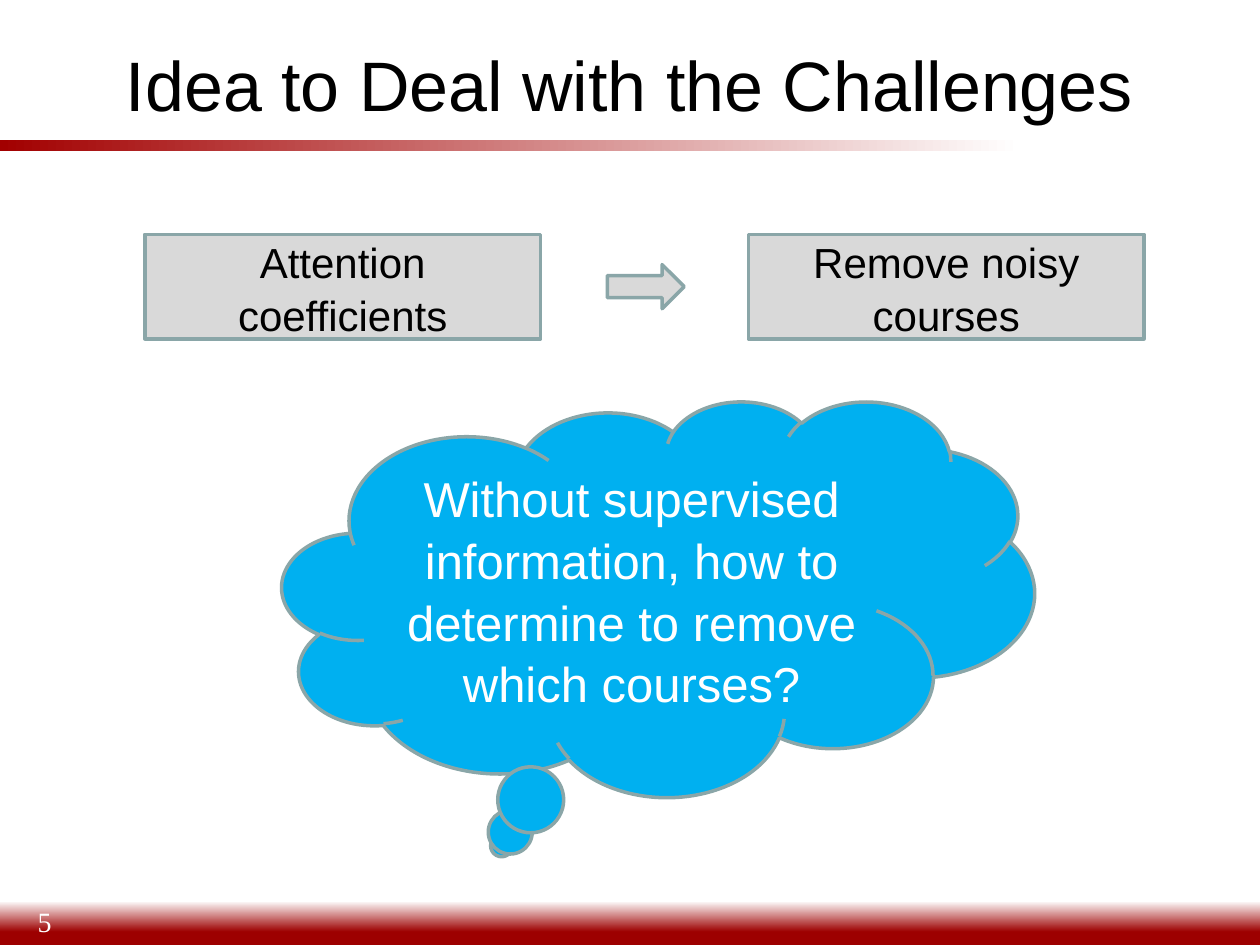
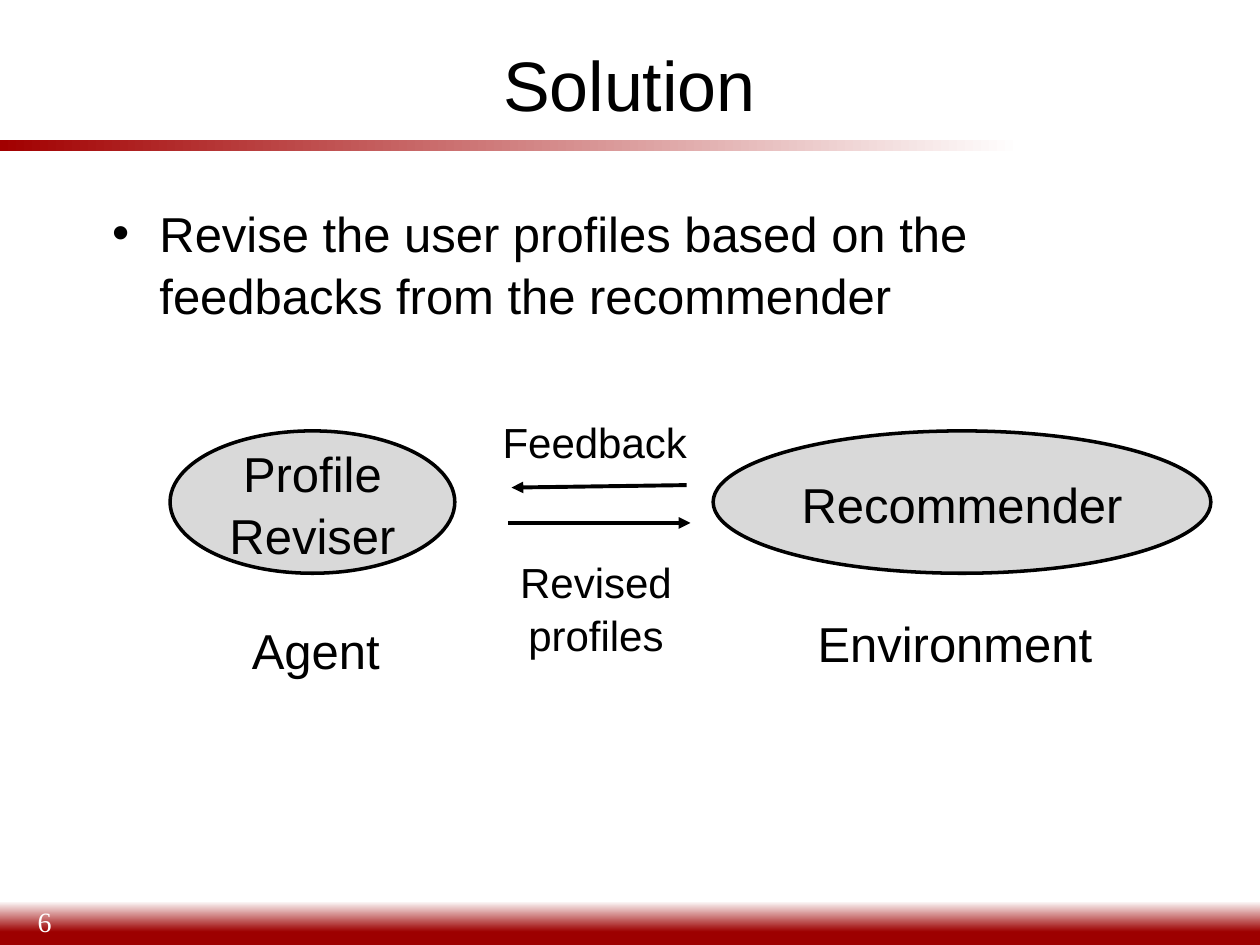
from dataclasses import dataclass

from lxml import etree
from pptx import Presentation
from pptx.dml.color import RGBColor
from pptx.enum.shapes import MSO_CONNECTOR, MSO_SHAPE
from pptx.enum.text import MSO_ANCHOR, MSO_AUTO_SIZE, PP_ALIGN
from pptx.oxml.ns import qn
from pptx.util import Inches, Pt

RECT = MSO_SHAPE.RECTANGLE
OVAL = MSO_SHAPE.OVAL
ARROW = MSO_SHAPE.RIGHT_ARROW
CLOUD = MSO_SHAPE.CLOUD_CALLOUT
STRAIGHT = MSO_CONNECTOR.STRAIGHT
LEFT, CENTER = PP_ALIGN.LEFT, PP_ALIGN.CENTER
TOP, MIDDLE = MSO_ANCHOR.TOP, MSO_ANCHOR.MIDDLE
NO_FIT = MSO_AUTO_SIZE.NONE
TITLE_ONLY, TITLE_BODY = 5, 1


@dataclass(frozen=True)
class Theme:
    black: str = "000000"
    white: str = "FFFFFF"
    gray: str = "D9D9D9"
    edge: str = "8AA6A8"
    sky: str = "00B0F0"
    rule: str = "A20000"
    foot: str = "9D0000"
    font: str = "Arial"
    serif: str = "Times New Roman"
    title: int = 40
    large: int = 28
    small: int = 24
    page: int = 16
    line: float = 2
    link: float = 2.25
    lead: float = 1.05


T = Theme()


def color(code):
    return RGBColor.from_string(code)


def place(shape, box):
    shape.left, shape.top, shape.width, shape.height = map(Inches, box)


def write(shape, text, size, ink=T.black, align=CENTER, anchor=MIDDLE, font=T.font):
    frame = shape.text_frame
    frame.word_wrap = True
    frame.auto_size = NO_FIT
    frame.vertical_anchor = anchor
    para = frame.paragraphs[0]
    para.alignment = align
    para.line_spacing = T.lead
    para.space_before = Pt(0)
    run = para.add_run()
    run.text = text
    run.font.size = Pt(size)
    run.font.name = font
    run.font.color.rgb = color(ink)


def label(slide, box, text, size, **style):
    shape = slide.shapes.add_textbox(*map(Inches, box))
    write(shape, text, size, **style)


def draw(slide, kind, box, fill, edge):
    shape = slide.shapes.add_shape(kind, *map(Inches, box))
    shape.shadow.inherit = False
    shape.fill.solid()
    shape.fill.fore_color.rgb = color(fill)
    shape.line.color.rgb = color(edge)
    shape.line.width = Pt(T.line)
    return shape


def band(slide, box, stops, angle):
    """Draw a borderless strip with a two-colour gradient."""
    shape = slide.shapes.add_shape(RECT, *map(Inches, box))
    shape.shadow.inherit = False
    shape.line.fill.background()
    shape.fill.gradient()
    shape.fill.gradient_angle = angle
    for stop, (pos, code) in zip(shape.fill.gradient_stops, stops):
        stop.position = pos
        stop.color.rgb = color(code)


def link(slide, start, end):
    """Draw a line with an arrowhead at its end."""
    line = slide.shapes.add_connector(STRAIGHT, *map(Inches, start + end))
    line.line.color.rgb = color(T.black)
    line.line.width = Pt(T.link)
    props = line.line._get_or_add_ln()
    etree.SubElement(props, qn("a:tailEnd"), type="triangle")
    etree.SubElement(props.getparent(), qn("a:effectLst"))


def start(deck, layout, title, page):
    """Add a slide with the shared title, bands and page number."""
    slide = deck.slides.add_slide(deck.slide_layouts[layout])
    band(slide, (0, 1.11, 10, 0.09), ((0, T.rule), (0.81, T.white)), 0)
    band(slide, (0, 7.15, 10, 0.35), ((0.3, T.foot), (1, T.white)), 90)
    label(slide, (0.2, 7.06, 1.02, 0.5), str(page), T.page,
          ink=T.white, align=LEFT, font=T.serif)
    place(slide.shapes.title, (0.27, 0.21, 9.45, 0.87))
    write(slide.shapes.title, title, T.title)
    return slide


def steps(slide, box):
    """Put two boxes at the ends of the given box, with an arrow between."""
    x, y, w, h = box
    wide, arrow_w, arrow_h = 3.14, 0.61, 0.35
    texts = ("Attention coefficients", "Remove noisy courses")
    for left, text in zip((x, x + w - wide), texts):
        step = draw(slide, RECT, (left, y, wide, h), T.gray, T.edge)
        write(step, text, T.small)
    spot = (x + wide + 0.53, y + (h - arrow_h) / 2, arrow_w, arrow_h)
    draw(slide, ARROW, spot, T.gray, T.edge)


def thought(slide, box):
    cloud = draw(slide, CLOUD, box, T.sky, T.edge)
    write(cloud, "Without supervised information, how to determine "
          "to remove which courses?", T.large, ink=T.white)


def loop(slide, box):
    """Draw the agent, the environment and the arrows between them."""
    x, y, w, h = box
    agent_w, world_w = 2.26, 3.95
    nodes = (
        (x, agent_w, "Profile Reviser"),
        (x + w - world_w, world_w, "Recommender"),
    )
    for left, wide, text in nodes:
        node = draw(slide, OVAL, (left, y, wide, h), T.gray, T.black)
        write(node, text, T.large)

    link(slide, (x + 4.1, y + 0.43), (x + 2.71, y + 0.45))
    link(slide, (x + 2.68, y + 0.73), (x + 4.13, y + 0.73))

    notes = (
        (2.54, -0.18, 1.92, 0.5, "Feedback", T.small, LEFT),
        (2.45, 0.93, 1.86, 0.91, "Revised profiles", T.small, CENTER),
        (0.55, 1.43, 1.43, 0.57, "Agent", T.large, LEFT),
        (5.04, 1.38, 2.56, 0.57, "Environment", T.large, LEFT),
    )
    for dx, dy, wide, high, text, size, align in notes:
        label(slide, (x + dx, y + dy, wide, high), text, size,
              align=align, anchor=TOP)


def idea(deck):
    slide = start(deck, TITLE_ONLY, "Idea to Deal with the Challenges", 5)
    thought(slide, (2.24, 3.18, 5.97, 3.14))
    steps(slide, (1.15, 1.86, 7.93, 0.83))


def answer(deck):
    slide = start(deck, TITLE_BODY, "Solution", 6)
    body = slide.placeholders[1]
    place(body, (0.79, 1.54, 8.82, 0.78))
    write(body, "Revise the user profiles based on the feedbacks "
          "from the recommender", T.large, align=LEFT, anchor=TOP)
    loop(slide, (1.35, 3.42, 8.26, 1.13))


def main():
    deck = Presentation()
    deck.slide_width, deck.slide_height = Inches(10), Inches(7.5)
    idea(deck)
    answer(deck)
    deck.save("out.pptx")


if __name__ == "__main__":
    main()
